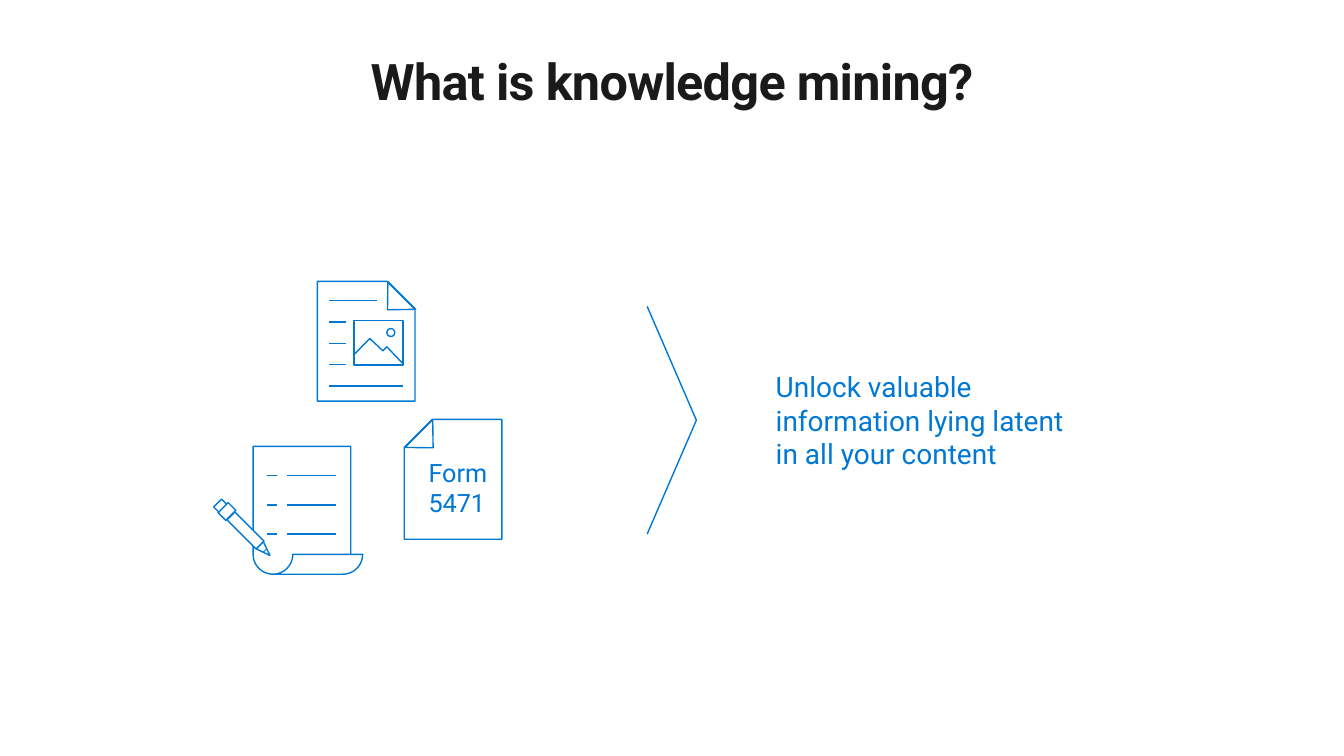
"""Build the knowledge mining slide."""
from math import cos, radians, sin

from lxml import etree
from pptx import Presentation
from pptx.dml.color import RGBColor
from pptx.enum.shapes import MSO_CONNECTOR, MSO_SHAPE
from pptx.enum.text import MSO_AUTO_SIZE, PP_ALIGN
from pptx.oxml.ns import qn
from pptx.util import Cm, Pt

BLUE = RGBColor(0x00, 0x78, 0xD4)
INK = RGBColor(0x1A, 0x1A, 0x1A)
WHITE = RGBColor(0xFF, 0xFF, 0xFF)
FONT = "Roboto"
RECTANGLE = MSO_SHAPE.RECTANGLE
TRIANGLE = MSO_SHAPE.ISOSCELES_TRIANGLE
OVAL = MSO_SHAPE.OVAL
SNIPPED = MSO_SHAPE.SNIP_1_RECTANGLE
STRAIGHT = MSO_CONNECTOR.STRAIGHT
CENTER = PP_ALIGN.CENTER
FIT_SHAPE = MSO_AUTO_SIZE.SHAPE_TO_FIT_TEXT


def add_text(shapes, text, bounds, size, color=BLUE, inset=0.0):
    """Add a wrapped text box and return its only paragraph."""
    box = shapes.add_textbox(*map(Cm, bounds))
    frame = box.text_frame
    frame.word_wrap = True
    frame.auto_size = FIT_SHAPE
    frame.margin_left = frame.margin_right = Cm(inset)
    frame.margin_top = frame.margin_bottom = Cm(inset / 2)
    frame.text = text
    para = frame.paragraphs[0]
    font = para.runs[0].font
    font.name, font.size, font.color.rgb = FONT, Pt(size), color
    return para


def style_outline(shape, fill=None):
    """Give a shape the blue outline and an optional fill."""
    shape.shadow.inherit = False
    shape.line.color.rgb = BLUE
    shape.line.width = Pt(1)
    if fill is None:
        shape.fill.background()
    else:
        shape.fill.solid()
        shape.fill.fore_color.rgb = fill


def add_outline(shapes, kind, bounds, rotation=0, fill=None):
    """Add an outlined preset shape."""
    shape = shapes.add_shape(kind, *map(Cm, bounds))
    shape.rotation = rotation
    style_outline(shape, fill)
    return shape


def add_line(shapes, start, end, width=1):
    """Add a straight blue line."""
    line = shapes.add_connector(STRAIGHT, *map(Cm, start + end))
    line.line.color.rgb = BLUE
    line.line.width = Pt(width)
    etree.SubElement(line.element.spPr, qn("a:effectLst"))


def add_path(shapes, strokes):
    """Draw open strokes, each a list of points, as one outline."""
    builder = None
    for stroke in strokes:
        first, *rest = [(Cm(x), Cm(y)) for x, y in stroke]
        if builder is None:
            builder = shapes.build_freeform(*first)
        else:
            builder.move_to(*first)
        builder.add_line_segments(rest, close=False)
    style_outline(builder.convert_to_shape())


def arc(center_x, center_y, radius, start, end):
    """Return points along a circular arc, with angles in degrees."""
    steps = 24
    angles = [radians(start + (end - start) * i / steps) for i in range(steps + 1)]
    return [(center_x + radius * cos(a), center_y + radius * sin(a)) for a in angles]


def add_folded_page(shapes, left, top, mirrored=False):
    """Draw a sheet with one folded top corner."""
    sheet = add_outline(shapes, SNIPPED, (left, top, 2.46, 3.02))
    sheet.adjustments[0] = 0.287
    if mirrored:
        sheet.element.spPr.get_or_add_xfrm().set("flipH", "1")
    fold_left = left + (0.05 if mirrored else 1.45)
    rotation = 135 if mirrored else 225
    add_outline(shapes, TRIANGLE, (fold_left, top + 0.28, 0.99, 0.51), rotation)


def add_scroll(shapes):
    """Draw the written scroll and the pencil over it."""
    floor, radius = 13.97, 0.5
    outline = [(6.88, floor + radius)]
    outline += arc(8.64, floor, radius, 90, 0)
    outline += arc(6.88, floor, radius, 0, 180)
    outline += [(6.38, 11.25), (8.84, 11.25), (8.84, floor)]
    strokes = [outline]
    for row in range(3):
        y = 11.99 + 0.735 * row
        strokes += [[(7.24, y), (8.48, y)], [(6.73, y), (6.99, y)]]
    add_path(shapes, strokes)
    pencil = [
        (RECTANGLE, (6.05, 12.85, 0.28, 1.04), 315),
        (TRIANGLE, (6.55, 13.69, 0.25, 0.36), 135),
        (RECTANGLE, (5.54, 12.75, 0.36, 0.28), 315),
        (RECTANGLE, (5.41, 12.65, 0.28, 0.18), 315),
    ]
    for kind, bounds, rotation in pencil:
        add_outline(shapes, kind, bounds, rotation, WHITE)
    add_line(shapes, (6.63, 13.92), (6.73, 13.82), 0.75)


def add_article(shapes):
    """Draw the page with text lines and a landscape."""
    add_folded_page(shapes, 8, 7.09)
    for row, right in enumerate((9.5, 8.71, 8.71, 8.71, 10.16)):
        y = 7.57 + 0.54 * row
        add_line(shapes, (8.28, y), (right, y))
    add_outline(shapes, RECTANGLE, (8.92, 8.08, 1.24, 1.12))
    mountains = [(10.16, 9.17), (9.75, 8.74), (9.65, 8.84), (9.32, 8.53), (8.92, 8.94)]
    add_path(shapes, [mountains])
    add_outline(shapes, OVAL, (9.75, 8.28, 0.2, 0.2))


def add_form(shapes):
    """Draw the labelled form."""
    add_text(shapes, "Form 5471", (10.8, 11.53, 1.73, 1.55), 18)
    add_folded_page(shapes, 10.19, 10.57, mirrored=True)


def main():
    """Build and save the deck."""
    deck = Presentation()
    deck.slide_width, deck.slide_height = Cm(33.87), Cm(19.05)
    page = deck.slides.add_slide(deck.slide_layouts[6])
    shapes = page.shapes
    add_text(shapes, "Unlock valuable information lying latent in all your content",
             (19.3, 9.19, 8.2, 2.82), 20, inset=0.25)
    add_path(shapes, [[(16.31, 7.72), (17.55, 10.59), (16.31, 13.46)]])
    title = add_text(shapes, "What is knowledge mining?",
                     (1.63, 1.27, 30.61, 1.55), 36, INK)
    title.alignment = CENTER
    span = title.runs[0]
    span.font.bold = True
    span.font.element.set("spc", "-50") if hasattr(span.font, "element") else \
        span._r.get_or_add_rPr().set("spc", "-50")
    for draw in (add_scroll, add_article, add_form):
        draw(shapes.add_group_shape().shapes)
    deck.save("out.pptx")


if __name__ == "__main__":
    main()
